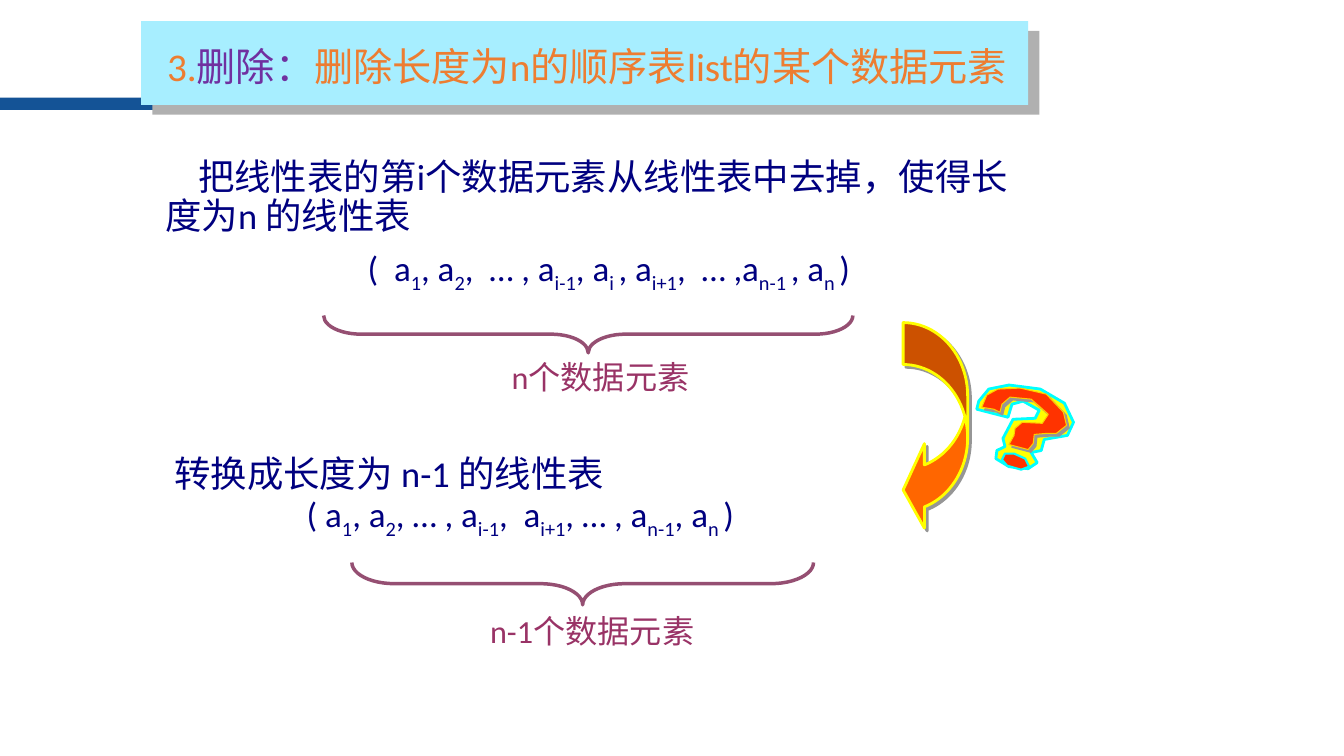
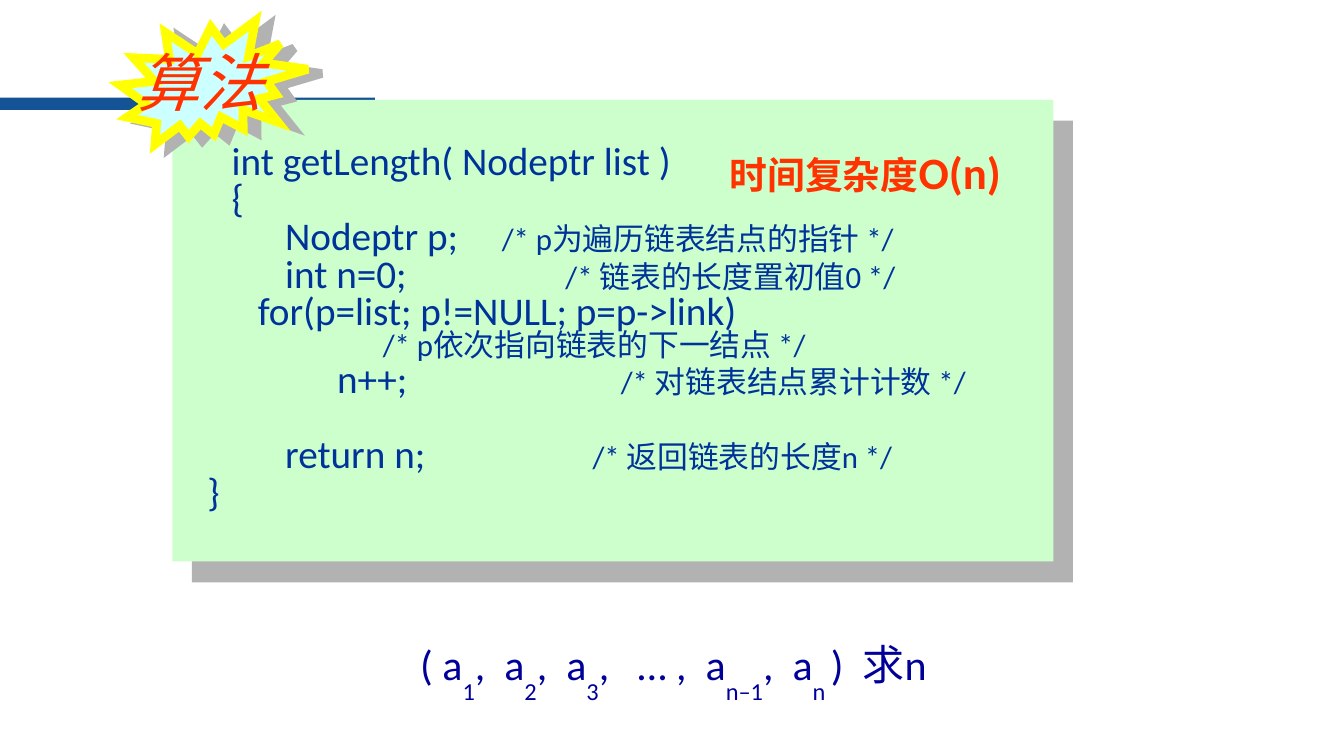
from dataclasses import dataclass
from typing import Optional, Sequence, Tuple

import lxml.etree
import pptx
import pptx.dml.color
import pptx.enum.shapes
import pptx.enum.text
import pptx.oxml
import pptx.oxml.ns
import pptx.util

WIDTH = pptx.util.Inches(13.333)
HEIGHT = pptx.util.Inches(7.5)
FREEFORM_CELL = pptx.util.Inches(0.01)
LATIN, CHINESE = "Calibri", "Noto Sans CJK SC"

BLUE_BAND, NAVY, PLUM, BRACE = "145396", "000080", "993366", "954F72"
ORANGE, PURPLE, SKY = "ED7D31", "7030A0", "A7EEFF"
RED, YELLOW, CYAN = "FF3300", "FFFF00", "00FFFF"
CODE_BLUE, MINT, FORMULA_BLUE = "003399", "CCFFCC", "000099"

PRESET = pptx.enum.shapes.MSO_SHAPE
ALIGN = pptx.enum.text.PP_ALIGN
ANCHOR = pptx.enum.text.MSO_ANCHOR


@dataclass(frozen=True)
class Box:
    left: float
    top: float
    width: float
    height: float

    def place(self) -> Tuple[int, int, int, int]:
        return across(self.left), down(self.top), across(self.width), down(self.height)


@dataclass(frozen=True)
class Shadow:
    color: str
    distance: float
    angle: float


@dataclass(frozen=True)
class Run:
    text: str
    color: Optional[str] = None
    size: Optional[float] = None


@dataclass(frozen=True)
class Line:
    runs: Tuple[Run, ...]
    align: Optional[ALIGN] = None
    spacing: float = 1.0
    before: float = 0
    margin: float = 0
    first: float = 0
    tabs: Tuple[float, ...] = ()


@dataclass(frozen=True)
class Code:
    code: str
    code_at: float
    comment: str = ""
    comment_at: float = 0
    before: float = 0


@dataclass(frozen=True)
class Group:
    brace: Box
    label: Box
    text: str


@dataclass(frozen=True)
class Outline:
    points: Tuple[Tuple[int, int], ...]
    fill: str
    edge: str
    weight: float
    shadow: Optional[Shadow] = None


def across(share: float) -> int:
    return round(WIDTH * share / 100)


def down(share: float) -> int:
    return round(HEIGHT * share / 100)


def rgb(color: str) -> pptx.dml.color.RGBColor:
    return pptx.dml.color.RGBColor.from_string(color)


def child(parent, tag: str, **attributes: str):
    element = lxml.etree.SubElement(parent, pptx.oxml.ns.qn(tag))
    for name, value in attributes.items():
        element.set(name, value)
    return element


def paint(shape, fill: Optional[str] = None, edge: Optional[str] = None, weight: float = 1,
          shadow: Optional[Shadow] = None, sharp: bool = False) -> None:
    shape.shadow.inherit = False
    if fill:
        shape.fill.solid()
        shape.fill.fore_color.rgb = rgb(fill)
    else:
        shape.fill.background()
    if edge:
        shape.line.color.rgb = rgb(edge)
        shape.line.width = pptx.util.Pt(weight)
    else:
        shape.line.fill.background()
    if sharp:
        child(shape.element.spPr.find(pptx.oxml.ns.qn("a:ln")), "a:miter", lim="800000")
    if shadow:
        effects = shape.element.spPr.find(pptx.oxml.ns.qn("a:effectLst"))
        outer = child(effects, "a:outerShdw", dist=str(pptx.util.Pt(shadow.distance)),
                      dir=str(round(shadow.angle * 60000)), algn="ctr", rotWithShape="0")
        child(outer, "a:srgbClr", val=shadow.color)


def draw(slide, preset: PRESET, box: Box, *, rotation: float = 0,
         adjustments: Sequence[float] = (), **look):
    shape = slide.shapes.add_shape(preset, *box.place())
    shape.rotation = rotation
    for index, value in enumerate(adjustments):
        shape.adjustments[index] = value
    paint(shape, **look)
    return shape


def draw_brace(slide, box: Box) -> None:
    left, top, width, height = box.place()
    brace = slide.shapes.add_shape(
        PRESET.LEFT_BRACE, left + (width - height) // 2, top + (height - width) // 2, height, width)
    brace.rotation = 270
    brace.adjustments[0] = 1.0
    paint(brace, edge=BRACE, weight=2.5)


def draw_outline(slide, outline: Outline) -> None:
    start, *rest = outline.points
    builder = slide.shapes.build_freeform(*start, scale=FREEFORM_CELL)
    builder.add_line_segments(rest, close=True)
    paint(builder.convert_to_shape(), outline.fill, outline.edge, outline.weight, outline.shadow)


def write(slide, box: Box, lines: Sequence[Line], *, size: float, color: str,
          bold: bool = False, italic: bool = False, drop: int = 25,
          anchor: ANCHOR = ANCHOR.TOP) -> None:
    frame = slide.shapes.add_textbox(*box.place()).text_frame
    frame.word_wrap = True
    frame.vertical_anchor = anchor
    for number, line in enumerate(lines):
        paragraph = frame.add_paragraph() if number else frame.paragraphs[0]
        paragraph.alignment = line.align
        paragraph.line_spacing = line.spacing
        paragraph.space_before = pptx.util.Pt(line.before)
        properties = paragraph._p.get_or_add_pPr()
        if line.tabs:
            stops = child(properties, "a:tabLst")
            for stop in line.tabs:
                child(stops, "a:tab", pos=str(across(stop)), algn="l")
        else:
            properties.set("marL", str(across(line.margin)))
            properties.set("indent", str(across(line.first)))
        for run in line.runs:
            for index, piece in enumerate(run.text.split("_")):
                if not piece:
                    continue
                part = paragraph.add_run()
                part.text = piece
                font = part.font
                font.name = LATIN
                font.size = pptx.util.Pt(run.size or size)
                font.color.rgb = rgb(run.color or color)
                font.bold, font.italic = bold, italic
                child(font._element, "a:ea", typeface=CHINESE)
                if index % 2:
                    font._element.set("baseline", str(-1000 * drop))


def plain(text: str, **layout) -> Line:
    return Line((Run(text),), **layout)


def code_line(line: Code) -> Line:
    if line.code and line.comment:
        return Line((Run("\t" + line.code), Run("\t" + line.comment, size=22)), spacing=0.8,
                    before=line.before, tabs=(line.code_at, line.comment_at))
    if line.comment:
        return Line((Run(line.comment, size=22),), spacing=0.8, margin=line.comment_at)
    return plain(line.code, spacing=0.8, margin=line.code_at)


def new_slide(deck):
    slide = deck.slides.add_slide(deck.slide_layouts[6])
    draw(slide, PRESET.RECTANGLE, Box(0, 12.93, 27.9, 1.6), fill=BLUE_BAND)
    return slide


GRAY_EDGE = Shadow("969696", 2.8, 45)
GROUPS = (
    Group(Box(24.08, 41.73, 39.38, 4.93), Box(36.6, 46.67, 16.2, 6.4), "n个数据元素"),
    Group(Box(26.18, 74.4, 34.35, 5.6), Box(34.65, 80.27, 18.83, 6.4), "n-1个数据元素"),
)
QUESTION_MARK = (
    Outline(((1004, 401), (1015, 398), (1031, 407), (1027, 415), (1005, 416), (995, 435),
             (997, 443), (989, 447), (988, 455), (1001, 463), (1020, 465), (1029, 459),
             (1023, 449), (1033, 447), (1036, 436), (1059, 432), (1065, 419), (1056, 400),
             (1032, 386), (1001, 382), (981, 386), (971, 398), (969, 406), (1000, 414)),
            YELLOW, CYAN, 2),
    Outline(((974, 404), (986, 406), (992, 409), (994, 401), (1002, 394), (1023, 396),
             (1031, 403), (1040, 411), (1034, 420), (1014, 419), (1007, 425), (1006, 432),
             (1001, 441), (1020, 446), (1025, 440), (1026, 431), (1038, 430), (1048, 430),
             (1058, 422), (1055, 409), (1038, 391), (1012, 385), (990, 386), (979, 392)),
            RED, "FFCC00", 0.75, GRAY_EDGE),
    Outline(((1006, 450), (997, 450), (994, 456), (999, 462), (1013, 466), (1021, 463),
             (1017, 455)), RED, CYAN, 1.5),
)
LISTING = (
    Code("int getLength( Nodeptr list )", 3.15),
    Code("{", 3.15),
    Code("Nodeptr p;", 7.13, "/* p为遍历链表结点的指针 */", 23.25),
    Code("int n=0;", 7.13, "/* 链表的长度置初值0 */", 27.98),
    Code("for(p=list; p!=NULL; p=p->link)", 5.1),
    Code("", 0, "/* p依次指向链表的下一结点 */", 14.4),
    Code("n++;", 11, "/* 对链表结点累计计数 */", 32.1),
    Code("return n;", 7.13, "/* 返回链表的长度n */", 30, before=27),
    Code("}", 1.35),
)


def build_deletion(deck) -> None:
    slide = new_slide(deck)
    write(slide, Box(11.55, 20.4, 66.75, 19.07), (
        plain("把线性表的第i个数据元素从线性表中去掉，使得长度为n 的线性表", spacing=0.9, first=2.45),
        Line((Run("(  a_1_, a_2_,  … , a_i-1_, a_i _, a_i+1_,  … ,a_n-1 _, a_n _)", size=25),),
             align=ALIGN.CENTER, before=6.5, margin=0.75),
    ), size=26, color=NAVY, anchor=ANCHOR.MIDDLE)
    write(slide, Box(12.23, 60.13, 54.98, 11.2), (
        plain("转换成长度为 n-1 的线性表", spacing=0.85),
        Line((Run("( a_1_, a_2_, … , a_i-1_,  a_i+1_, … , a_n-1_, a_n _)", size=25),),
             spacing=0.85, margin=9.85),
    ), size=26, color=NAVY, anchor=ANCHOR.MIDDLE)
    for group in GROUPS:
        draw_brace(slide, group.brace)
        write(slide, group.label, [plain(group.text, align=ALIGN.CENTER)], size=23, color=PLUM)
    draw(slide, PRESET.CURVED_LEFT_ARROW, Box(67.2, 42.67, 4.8, 27.73),
         adjustments=(0.65, 1.31, 0.33), fill="FF6600", edge=YELLOW, weight=2, shadow=GRAY_EDGE)
    for outline in QUESTION_MARK:
        draw_outline(slide, outline)
    draw(slide, PRESET.RECTANGLE, Box(10.5, 2.8, 66, 11.07), fill=SKY,
         shadow=Shadow("B0B0B0", 10.6, 41))
    heading = (Run("3."), Run("删除：", PURPLE), Run("删除长度为n的顺序表list的某个数据元素"))
    write(slide, Box(11.03, 4.93, 70.8, 7.6), [Line(heading, margin=0.66)], size=28, color=ORANGE)


def build_algorithm(deck) -> None:
    slide = new_slide(deck)
    draw(slide, PRESET.RECTANGLE, Box(12.83, 13.2, 65.55, 61.07), fill=MINT,
         shadow=Shadow("B2B2B2", 20.5, 47))
    write(slide, Box(13.35, 18.53, 63.75, 51.6), [code_line(line) for line in LISTING],
          size=28, color=CODE_BLUE)
    draw(slide, PRESET.EXPLOSION2, Box(9, 2.13, 13.73, 17.87), rotation=7.1, fill="CCFFFF",
         edge=YELLOW, weight=6.25, shadow=Shadow("B2B2B2", 10.4, 17), sharp=True)
    write(slide, Box(9.45, 5.07, 13.35, 11.33), [plain("算法")], size=45, color=RED, italic=True)
    write(slide, Box(53.55, 18.53, 25.43, 8.4), [Line((Run("时间复杂度"), Run("O(n)", size=32)))],
          size=27, color=RED, bold=True)
    write(slide, Box(30.53, 83.87, 46.65, 8),
          [plain("( a_1_,  a_2_,  a_3_,   … ,  a_n–1_,  a_n _)  求n")],
          size=30, color=FORMULA_BLUE, drop=46)


deck = pptx.Presentation()
deck.slide_width, deck.slide_height = WIDTH, HEIGHT
build_deletion(deck)
build_algorithm(deck)
deck.save("out.pptx")
